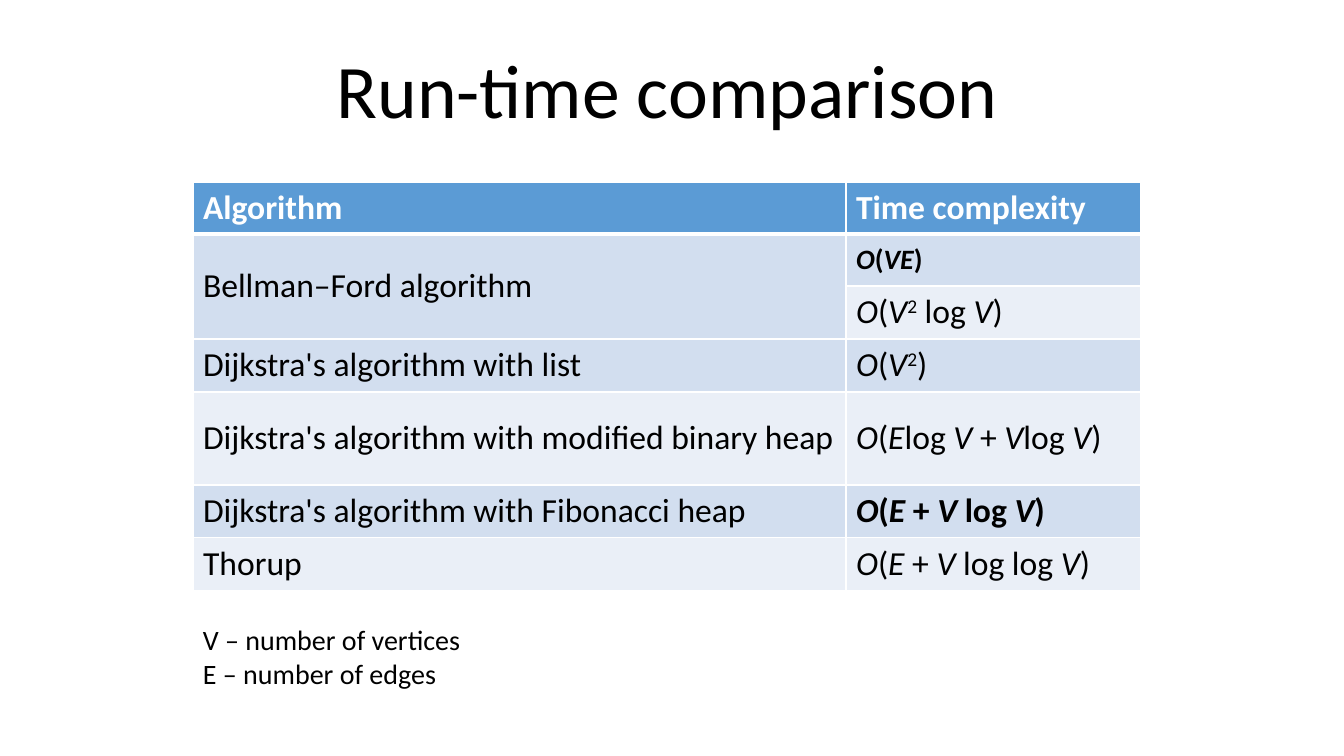
import dataclasses
import itertools

import pptx
import pptx.dml.color
import pptx.enum.text
import pptx.oxml
import pptx.oxml.ns
import pptx.util

EMU_PER_PIXEL = 914400 / 100.8
ANCHOR = pptx.enum.text.MSO_ANCHOR
ALIGN = pptx.enum.text.PP_ALIGN
AUTO_SIZE = pptx.enum.text.MSO_AUTO_SIZE


@dataclasses.dataclass(frozen=True)
class Theme:
    """Colours, font and type sizes of the slide."""
    font: str = "Calibri"
    ink: str = "000000"
    paper: str = "FFFFFF"
    header: str = "5B9BD5"
    bands: tuple = ("D2DEEF", "EAEFF7")
    title_size: int = 54
    table_size: int = 24
    small_size: int = 20


THEME = Theme()
COLUMN_WIDTHS = (653, 295)
ROW_HEIGHTS = (52, 52, 53, 53, 93, 53, 53)
HEADINGS = ("Algorithm", "Time complexity")
# Algorithm, its complexity, and the format of the complexity
RUN_TIMES = (
    ("Bellman–Ford algorithm", "O(VE)", {"bold": True, "size": THEME.small_size}),
    ("", "O(V2\u00a0log\u00a0V)", {}),
    ("Dijkstra's algorithm with list", "O(V2)", {}),
    ("Dijkstra's algorithm with modified binary heap",
     "O(Elog\u00a0V\u00a0+\u00a0Vlog\u00a0V)", {}),
    ("Dijkstra's algorithm with Fibonacci heap",
     "O(E\u00a0+\u00a0V\u00a0log\u00a0V)", {"bold": True}),
    ("Thorup", "O(E\u00a0+\u00a0V\u00a0log\u00a0log\u00a0V)", {}),
)
LEGEND = ("V – number of vertices", "E – number of edges")


def px(pixels):
    """Turn pixels into EMU."""
    return pptx.util.Emu(round(pixels * EMU_PER_PIXEL))


def rgb(colour):
    """Turn a hex string into a colour."""
    return pptx.dml.color.RGBColor.from_string(colour)


def write(para, text, size=THEME.table_size, colour=THEME.ink, bold=False,
          italic=False, superscript=False):
    """Add one formatted run to a paragraph."""
    span = para.add_run()
    span.text = text
    span.font.name = THEME.font
    span.font.size = pptx.util.Pt(size)
    span.font.color.rgb = rgb(colour)
    span.font.bold = bold
    span.font.italic = italic
    if superscript:
        span._r.get_or_add_rPr().set("baseline", "30000")


def write_formula(para, formula, **style):
    """Write a formula with italic capitals and raised digits."""
    kinds = itertools.groupby(formula, lambda sign: (sign.isupper(), sign.isdigit()))
    for (is_symbol, is_power), signs in kinds:
        write(para, "".join(signs), italic=is_symbol, superscript=is_power, **style)


def format_cell(cell, fill, top=1, bottom=1):
    """Fill a cell, centre it vertically and give it white borders."""
    cell.vertical_anchor = ANCHOR.MIDDLE
    cell.fill.solid()
    cell.fill.fore_color.rgb = rgb(fill)
    properties = cell._tc.get_or_add_tcPr()
    widths = {"L": 1, "R": 1, "T": top, "B": bottom}
    for index, (side, width) in enumerate(widths.items()):
        properties.insert(index, pptx.oxml.parse_xml(
            f'<a:ln{side} {pptx.oxml.ns.nsdecls("a")} w="{pptx.util.Pt(width)}">'
            f'<a:solidFill><a:srgbClr val="{THEME.paper}"/></a:solidFill></a:ln{side}>'))


def place_title(page, box, text):
    """Move the title placeholder to the box and write the title."""
    title = page.shapes.title
    title.left, title.top, title.width, title.height = map(px, box)
    frame = title.text_frame
    frame.auto_size = AUTO_SIZE.NONE
    frame.vertical_anchor = ANCHOR.BOTTOM
    para = frame.paragraphs[0]
    para.alignment = ALIGN.CENTER
    para.line_spacing = 0.9
    write(para, text, size=THEME.title_size)


def place_run_times(page, left, top):
    """Build the table of algorithms and their time complexity."""
    table = page.shapes.add_table(
        len(ROW_HEIGHTS), len(COLUMN_WIDTHS), px(left), px(top),
        px(sum(COLUMN_WIDTHS)), px(sum(ROW_HEIGHTS))).table
    for column, width in zip(table.columns, COLUMN_WIDTHS):
        column.width = px(width)
    for row, height in zip(table.rows, ROW_HEIGHTS):
        row.height = px(height)

    for column, heading in enumerate(HEADINGS):
        cell = table.cell(0, column)
        format_cell(cell, THEME.header, bottom=3)
        write(cell.text_frame.paragraphs[0], heading, colour=THEME.paper, bold=True)

    for row, (algorithm, formula, style) in enumerate(RUN_TIMES, start=1):
        name_cell, formula_cell = table.cell(row, 0), table.cell(row, 1)
        for cell in (name_cell, formula_cell):
            format_cell(cell, THEME.bands[(row - 1) % 2], top=3 if row == 1 else 1)
        if algorithm:
            write(name_cell.text_frame.paragraphs[0], algorithm)
        write_formula(formula_cell.text_frame.paragraphs[0], formula, **style)
    table.cell(1, 0).merge(table.cell(2, 0))


def place_legend(page, box):
    """Explain the symbols, one paragraph each."""
    frame = page.shapes.add_textbox(*map(px, box)).text_frame
    frame.word_wrap = True
    frame.auto_size = AUTO_SIZE.SHAPE_TO_FIT_TEXT
    for index, line in enumerate(LEGEND):
        para = frame.add_paragraph() if index else frame.paragraphs[0]
        write(para, line, size=THEME.small_size)


def build_comparison(deck):
    """Add the run-time comparison slide."""
    page = deck.slides.add_slide(deck.slide_layouts[5])
    place_title(page, (163, 45, 1008, 95), "Run-time comparison")
    place_run_times(page, 193, 182)
    place_legend(page, (193, 618, 510, 78))


deck = pptx.Presentation()
deck.slide_width, deck.slide_height = px(1344), px(756)
build_comparison(deck)
deck.save("out.pptx")
